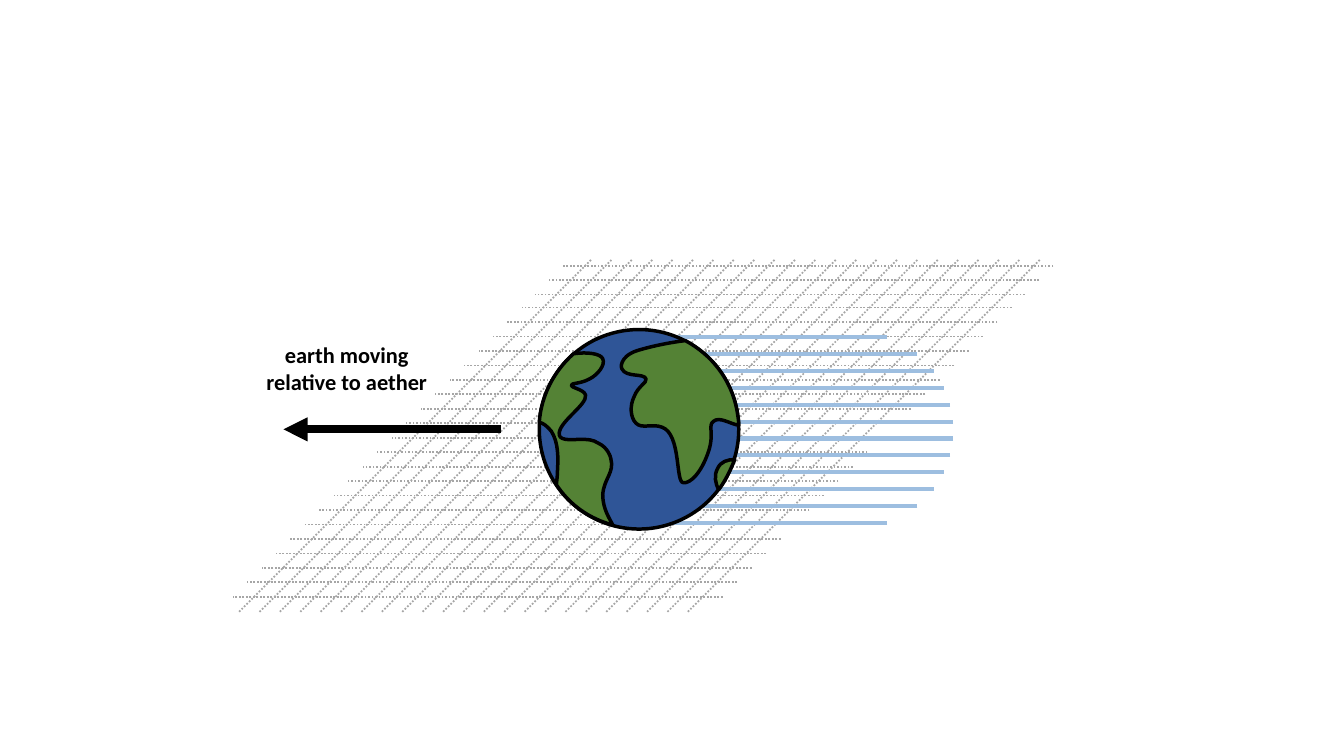
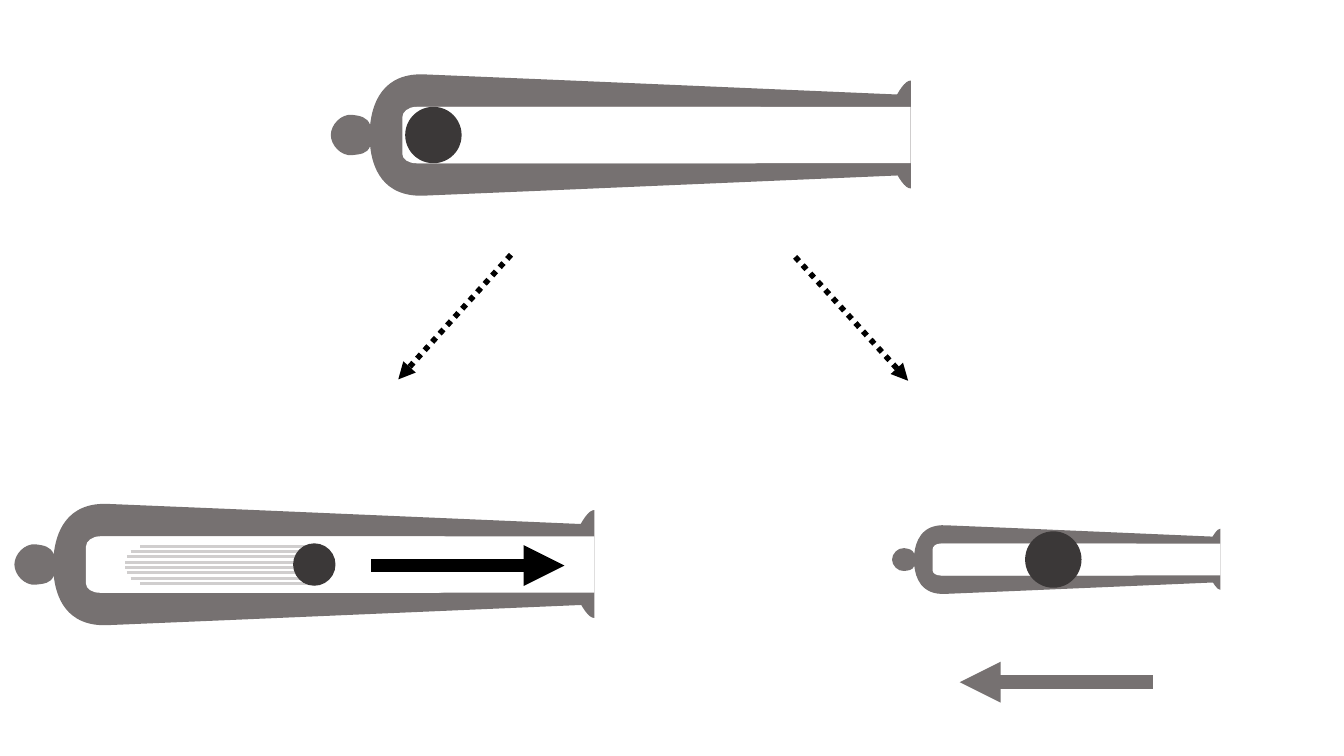
"""Draws the earth moving through the aether and a cannon seen from two frames."""
from dataclasses import dataclass
from math import sqrt

from lxml import etree
from pptx import Presentation
from pptx.dml.color import RGBColor
from pptx.enum.dml import MSO_LINE
from pptx.enum.shapes import MSO_CONNECTOR, MSO_SHAPE
from pptx.enum.text import PP_ALIGN
from pptx.oxml.ns import qn
from pptx.util import Pt

STRAIGHT = MSO_CONNECTOR.STRAIGHT
ELLIPSE = MSO_SHAPE.OVAL
RECTANGLE = MSO_SHAPE.RECTANGLE
DOTTED = MSO_LINE.ROUND_DOT
CENTER = PP_ALIGN.CENTER


@dataclass(frozen=True)
class Theme:
    """Holds the colours, font and sizes that the slides share."""
    ink: str = "000000"
    paper: str = "FFFFFF"
    grid: str = "A6A6A6"
    ocean: str = "2F5597"
    land: str = "548235"
    wake: str = "9DBEE0"
    iron: str = "767171"
    ball: str = "3B3838"
    ball_wake: str = "D0CECE"
    font: str = "Calibri"
    label_size: float = 16
    outline: float = 2.5
    grid_line: float = 1.25
    wake_line: float = 3
    ball_wake_line: float = 2.25
    earth_arrow: float = 5.75
    cannon_arrow: float = 9.75
    branch_arrow: float = 4


THEME = Theme()

EARTH_UNITS = 198
WEST_LAND = [
    (17, 154), (30, 174, 50, 188, 73, 194), (70, 188, 63, 178, 63, 164),
    (64, 148, 75, 142, 71, 128), (71, 127, 68, 117, 59, 113),
    (53, 109, 48, 109, 40, 109), (36, 109, 21, 111, 20, 105),
    (17, 93, 48, 75, 46, 65), (44, 59, 31, 58, 32, 55),
    (32, 53, 41, 54, 50, 49), (58, 45, 66, 35, 63, 29),
    (61, 24, 48, 22, 34, 24), (15, 41, 2, 65, 0, 92),
    (4, 93, 8, 96, 12, 101), (19, 112, 19, 127, 18, 142),
    (18, 148, 17, 151, 17, 154),
]
EAST_LAND = [
    (196, 79), (190, 49, 171, 25, 145, 11), (128, 13, 110, 17, 97, 21),
    (79, 27, 81, 39, 82, 39), (86, 48, 104, 43, 106, 49),
    (107, 53, 98, 56, 94, 67), (90, 75, 90, 87, 96, 93),
    (102, 99, 112, 93, 122, 97), (141, 104, 135, 152, 143, 152),
    (150, 153, 161, 142, 168, 121), (174, 103, 167, 95, 173, 91),
    (179, 86, 190, 94, 198, 95), (198, 90, 197, 85, 196, 79),
]
SOUTH_LAND = [
    (177, 138), (173, 145, 175, 153, 178, 159),
    (185, 150, 190, 139, 194, 129), (187, 129, 180, 131, 177, 138),
]

CANNON_UNITS = 576
CANNON_AXIS = 61
MUZZLE = [
    (519, 60), (519, 167, 552, 7, 575, 7), (575, 114),
    (552, 114, 519, -46, 519, 60),
]
BARREL = [
    (565, 21), (564, 67, 565, 101, 565, 101), (215, 116), (95, 121),
    (50, 124, 41, 91, 39, 72), (36, 80, 29, 80, 21, 81),
    (10, 82, 0, 71, 0, 61), (0, 51, 10, 40, 21, 41),
    (29, 42, 36, 43, 39, 51), (41, 32, 50, -2, 95, 1), (215, 6),
]
BORE = [
    (71, 43), (71, 38, 77, 33, 85, 33), (421, 33),
    (428, 33, 434, 33, 434, 43), (434, 80), (434, 85, 428, 89, 421, 89),
    (85, 89), (77, 89, 71, 85, 71, 80),
]


def paint(shape, fill, line=None, width=0):
    """Gives a shape its fill and outline and takes off the shadow."""
    shape.shadow.inherit = False
    shape.fill.solid()
    shape.fill.fore_color.rgb = RGBColor.from_string(fill)
    if line:
        shape.line.color.rgb = RGBColor.from_string(line)
        shape.line.width = Pt(width)
    else:
        shape.line.fill.background()


def add_preset(slide, preset, left, top, width, height, fill, line=None, weight=0):
    """Adds a painted preset shape."""
    shape = slide.shapes.add_shape(preset, Pt(left), Pt(top), Pt(width), Pt(height))
    paint(shape, fill, line, weight)


def add_outline(slide, segments, left, top, unit, fill, line=None, weight=0):
    """Adds a closed outline of lines and cubic curves, scaled from the box corner."""
    def place(x, y):
        return Pt(left + x * unit), Pt(top + y * unit)

    anchors = [place(*segment[-2:]) for segment in segments]
    builder = slide.shapes.build_freeform(*anchors[0])
    builder.add_line_segments(anchors[1:], close=True)
    shape = builder.convert_to_shape()
    steps = list(shape._element.iter(qn("a:lnTo")))
    for step, segment in zip(steps, segments[1:]):
        if len(segment) == 2:
            continue
        step.tag = qn("a:cubicBezTo")
        for index in (0, 1):
            x, y = place(*segment[2 * index:2 * index + 2])
            control = etree.Element(qn("a:pt"), x=str(x - shape.left), y=str(y - shape.top))
            step.insert(index, control)
    paint(shape, fill, line, weight)


def add_line(slide, start, end, color, width, dash=None, arrow=False):
    """Adds a straight line, dotted or with an arrowhead on request."""
    line = slide.shapes.add_connector(STRAIGHT, *map(Pt, start + end))
    line.line.color.rgb = RGBColor.from_string(color)
    line.line.width = Pt(width)
    if dash:
        line.line.dash_style = dash
    if arrow:
        etree.SubElement(line.line._get_or_add_ln(), qn("a:tailEnd"), type="triangle")
    etree.SubElement(line._element.spPr, qn("a:effectLst"))


def add_label(slide, text, left, top, width, height):
    """Adds a bold centred label."""
    frame = slide.shapes.add_textbox(Pt(left), Pt(top), Pt(width), Pt(height)).text_frame
    frame.word_wrap = True
    paragraph = frame.paragraphs[0]
    paragraph.text = text
    paragraph.alignment = CENTER
    font = paragraph.font
    font.name, font.size, font.bold = THEME.font, Pt(THEME.label_size), True
    font.color.rgb = RGBColor.from_string(THEME.ink)


def add_aether(slide, left, top, width, height):
    """Draws the slanted dotted grid inside its box."""
    style = (THEME.grid, THEME.grid_line, DOTTED)
    columns, column_gap, first_column = 23, 14.57, left + 4.8
    for column in range(columns):
        x = first_column + column * column_gap
        add_line(slide, (x, top + height), (x + height, top), *style)
    row_width = 350
    for first_row, rows, row_gap in ((34.7, 21, 10.33), (5, 3, 10.2)):
        for row in range(rows):
            drop = first_row + row * row_gap
            right = left + width + 5 - drop
            add_line(slide, (right, top + drop), (right - row_width, top + drop), *style)


def add_wake(slide, center_x, center_y, radius, span, count, length, color, weight):
    """Draws level speed lines that end on an arc; the length's sign is the arc's side."""
    side = 1 if length > 0 else -1
    for index in range(count):
        offset = span * (index / (count - 1) - 0.5)
        tip = center_x + side * sqrt(radius ** 2 - offset ** 2)
        y = center_y + offset
        add_line(slide, (tip, y), (tip - length, y), color, weight)


def add_earth(slide, left, top, size):
    """Draws the globe with its land masses."""
    add_preset(slide, ELLIPSE, left, top, size, size,
               THEME.ocean, THEME.ink, THEME.outline)
    for land in (WEST_LAND, EAST_LAND, SOUTH_LAND):
        add_outline(slide, land, left, top, size / EARTH_UNITS,
                    THEME.land, THEME.ink, THEME.outline)


def add_cannon(slide, left, top, width):
    """Draws a cannon cut open along its bore."""
    unit = width / CANNON_UNITS
    for part in (MUZZLE, BARREL):
        add_outline(slide, part, left, top, unit, THEME.iron)
    add_preset(slide, RECTANGLE, left + 85 * unit, top + 33 * unit,
               490 * unit, 56 * unit, THEME.paper)
    add_outline(slide, BORE, left, top, unit, THEME.paper)


def add_ball(slide, left, top, width, offset, size):
    """Draws a ball on the axis of the cannon with the given box."""
    axis = top + CANNON_AXIS * width / CANNON_UNITS
    add_preset(slide, ELLIPSE, left + offset - size / 2, axis - size / 2,
               size, size, THEME.ball)


def build_aether_slide(slide):
    """Shows the earth moving relative to the aether."""
    add_label(slide, "earth moving relative to aether", 179.2, 240, 137, 46)
    add_aether(slide, 166, 185, 586.5, 252)
    add_wake(slide, 611, 307.2, 70, 132.5, 12, 155, THEME.wake, THEME.wake_line)
    add_earth(slide, 385.2, 235.4, 142.5)
    add_line(slide, (358, 306.7), (202.5, 306.7), THEME.ink, THEME.earth_arrow, arrow=True)


def build_cannon_slide(slide):
    """Shows a loaded cannon, then the shot with moving ball or moving cannon."""
    loaded, ball_moves, cannon_moves = (236.3, 52.5, 415), (10.3, 359.3, 415), (637.2, 374.8, 235)
    for box in (loaded, ball_moves, cannon_moves):
        add_cannon(slide, *box)
    add_wake(slide, 103, 403.5, 13.6, 26.6, 8, -123,
             THEME.ball_wake, THEME.ball_wake_line)
    add_ball(slide, *loaded, 73.3, 40.3)
    add_ball(slide, *ball_moves, 214.2, 30.3)
    add_ball(slide, *cannon_moves, 115.2, 40.3)
    add_line(slide, (823.3, 487.3), (685.5, 487.3), THEME.iron, THEME.cannon_arrow, arrow=True)
    add_line(slide, (265.2, 404), (403.2, 404), THEME.ink, THEME.cannon_arrow, arrow=True)
    for start, end in (((365, 182), (284.5, 271)), ((568, 183.5), (648.7, 272))):
        add_line(slide, start, end, THEME.ink, THEME.branch_arrow, DOTTED, True)


def main():
    """Builds and saves the presentation."""
    presentation = Presentation()
    presentation.slide_width, presentation.slide_height = Pt(960), Pt(540)
    blank = presentation.slide_layouts[6]
    for build in (build_aether_slide, build_cannon_slide):
        build(presentation.slides.add_slide(blank))
    presentation.save("out.pptx")


if __name__ == "__main__":
    main()
